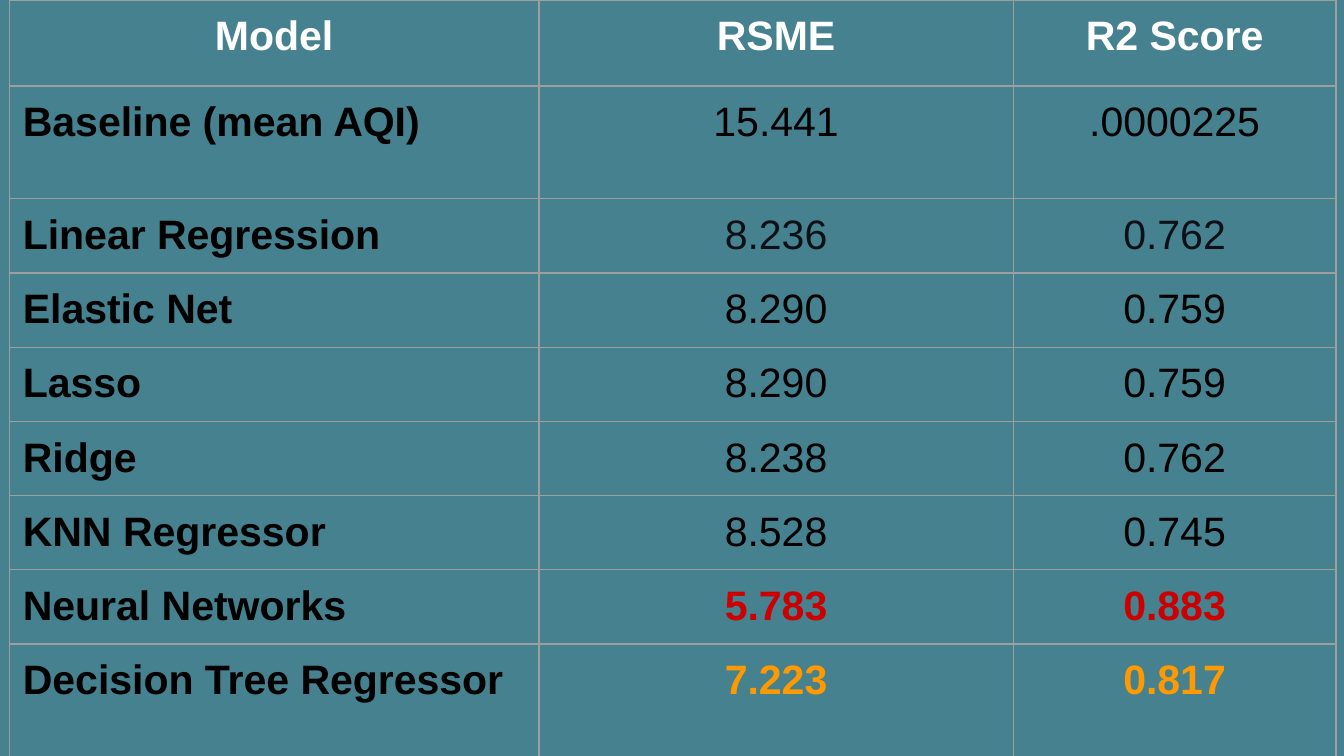
from lxml.etree import SubElement
from pptx import Presentation
from pptx.dml.color import RGBColor
from pptx.enum.text import PP_ALIGN as Align
from pptx.oxml.ns import qn
from pptx.util import Inches, Pt

HEADINGS = ("Model", "RSME", "R2 Score")
# model, RSME, R2 score, style of the scores
MODELS = [
    ("Baseline (mean AQI)", "15.441", ".0000225", "score"),
    ("Linear Regression", "8.236", "0.762", "soft"),
    ("Elastic Net", "8.290", "0.759", "score"),
    ("Lasso", "8.290", "0.759", "score"),
    ("Ridge", "8.238", "0.762", "score"),
    ("KNN Regressor", "8.528", "0.745", "score"),
    ("Neural Networks", "5.783", "0.883", "best"),
    ("Decision Tree Regressor", "7.223", "0.817", "second"),
]

THEME = {
    "background": "45818E",
    "border": "9E9E9E",
    "border_width": Pt(0.75),
    "font": "Arial",
    "size": Pt(22),
    # style: (colour, bold, alignment)
    "styles": {
        "heading": ("FFFFFF", True, Align.CENTER),
        "model": ("000000", True, Align.LEFT),
        "score": ("000000", False, Align.CENTER),
        "soft": ("0D1117", False, Align.CENTER),
        "best": ("CC0000", True, Align.CENTER),
        "second": ("FF9900", True, Align.CENTER),
    },
}

SLIDE_WIDTH = 10
SLIDE_HEIGHT = SLIDE_WIDTH * 9 / 16
LEFT, TOP = 0.07, 0
COLUMN_WIDTHS = (3.94, 3.53, 2.4)
HEADING_HEIGHT, TALL_HEIGHT, ROW_HEIGHT = 0.64, 0.84, 0.55
ROW_HEIGHTS = [HEADING_HEIGHT, TALL_HEIGHT,
               *[ROW_HEIGHT] * (len(MODELS) - 2), TALL_HEIGHT]
# the slightly deeper bottom margin lets the one-line rows grow a little
CELL_MARGINS = {"margin_left": 0.1, "margin_right": 0.1,
                "margin_top": 0.1, "margin_bottom": 0.11}


def add_borders(cell):
    properties = cell._tc.get_or_add_tcPr()
    for side in ("a:lnL", "a:lnR", "a:lnT", "a:lnB"):
        line = SubElement(properties, qn(side), w=str(THEME["border_width"]))
        fill = SubElement(line, qn("a:solidFill"))
        SubElement(fill, qn("a:srgbClr"), val=THEME["border"])


def write_cell(cell, text, style):
    colour, bold, alignment = THEME["styles"][style]
    for margin, length in CELL_MARGINS.items():
        setattr(cell, margin, Inches(length))
    add_borders(cell)
    cell.fill.background()
    paragraph = cell.text_frame.paragraphs[0]
    paragraph.alignment = alignment
    run = paragraph.add_run()
    run.text = text
    font_format = {"name": THEME["font"], "size": THEME["size"], "bold": bold}
    for attribute, value in font_format.items():
        setattr(run.font, attribute, value)
    run.font.color.rgb = RGBColor.from_string(colour)


def add_score_table(slide):
    table = slide.shapes.add_table(
        len(ROW_HEIGHTS), len(COLUMN_WIDTHS), Inches(LEFT), Inches(TOP),
        Inches(sum(COLUMN_WIDTHS)), Inches(sum(ROW_HEIGHTS))).table
    table.horz_banding = False
    for column, width in zip(table.columns, COLUMN_WIDTHS):
        column.width = Inches(width)
    for row, height in zip(table.rows, ROW_HEIGHTS):
        row.height = Inches(height)

    content = [[(heading, "heading") for heading in HEADINGS]]
    for model, rsme, r2_score, style in MODELS:
        content.append([(model, "model"), (rsme, style), (r2_score, style)])
    for row, entries in zip(table.rows, content):
        for cell, (text, style) in zip(row.cells, entries):
            write_cell(cell, text, style)


def main():
    deck = Presentation()
    deck.slide_width = Inches(SLIDE_WIDTH)
    deck.slide_height = Inches(SLIDE_HEIGHT)
    slide = deck.slides.add_slide(deck.slide_layouts[6])
    background = slide.background.fill
    background.solid()
    background.fore_color.rgb = RGBColor.from_string(THEME["background"])
    add_score_table(slide)
    deck.save("out.pptx")


if __name__ == "__main__":
    main()
